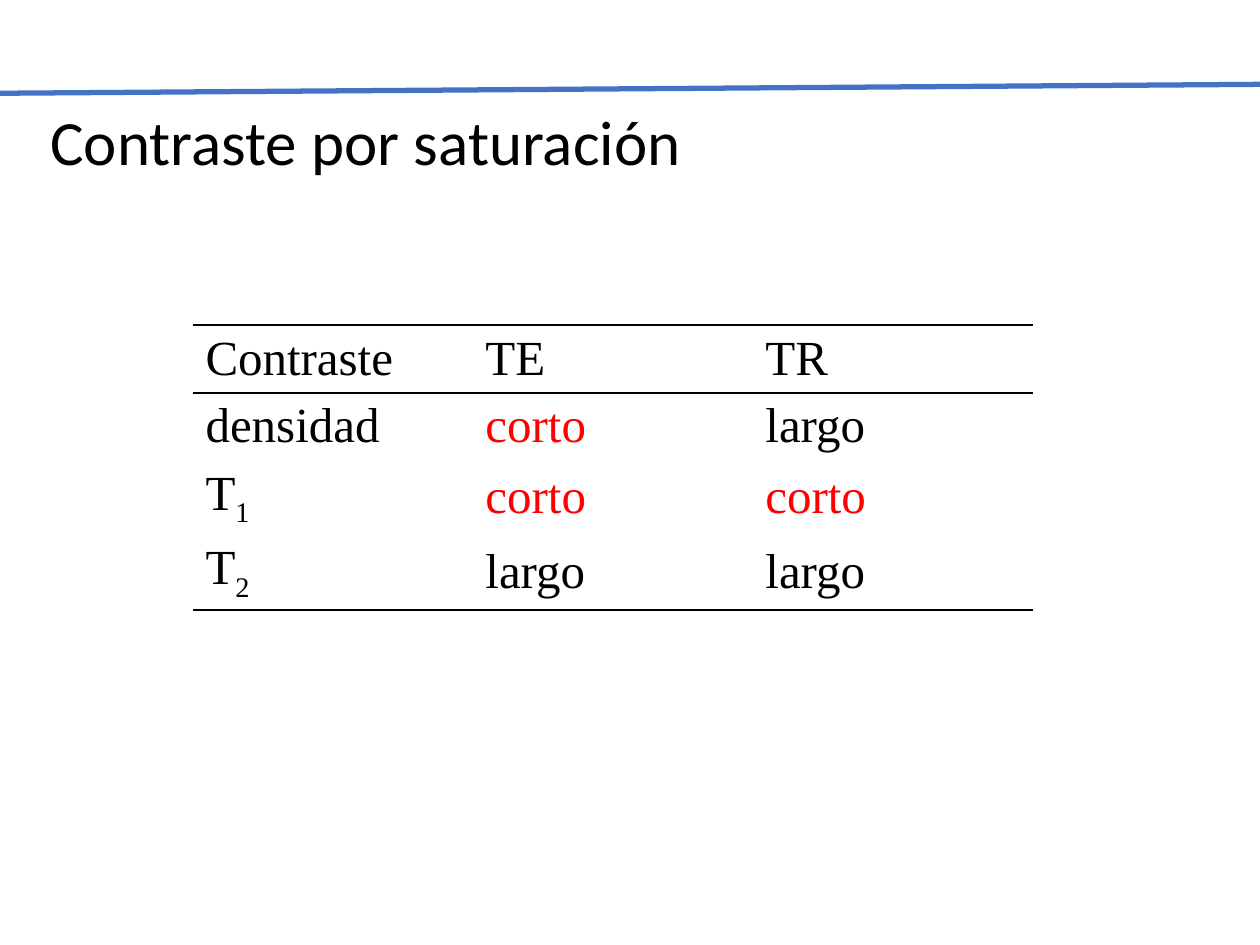
import pptx
import pptx.dml.color
import pptx.enum.shapes
import pptx.enum.text
import pptx.oxml
import pptx.oxml.ns
import pptx.util
from lxml import etree

Cm = pptx.util.Cm
Pt = pptx.util.Pt
qn = pptx.oxml.ns.qn
MIDDLE = pptx.enum.text.MSO_ANCHOR.MIDDLE

COLORS = {"rule": "4472C4", "text": "000000", "short": "FF0000"}
ROWS = [
    ["Contraste", "TE", "TR"],
    ["densidad", "corto", "largo"],
    ["T1", "corto", "corto"],
    ["T2", "largo", "largo"],
]
ROW_HEIGHTS = [1.37, 1.35, 1.51, 1.51]


def rgb(name):
    return pptx.dml.color.RGBColor.from_string(COLORS[name])


def format_run(r, font, size, color):
    r.font.name = font
    r.font.size = Pt(size)
    r.font.color.rgb = rgb(color)


def add_rule(s, left, top, width, rise):
    line = s.shapes.add_connector(
        pptx.enum.shapes.MSO_CONNECTOR.STRAIGHT,
        Cm(left), Cm(top), Cm(left + width), Cm(top - rise))
    line.line.color.rgb = rgb("rule")
    line.line.width = Pt(3)
    etree.SubElement(line._element.spPr, qn("a:effectLst"))


def place_title(s, text, left, top, width, height):
    sp = s.shapes.title
    sp.left, sp.top, sp.width, sp.height = Cm(left), Cm(top), Cm(width), Cm(height)
    tf = sp.text_frame
    tf.text = text
    tf.word_wrap = True
    tf.auto_size = pptx.enum.text.MSO_AUTO_SIZE.NONE
    tf.vertical_anchor = MIDDLE
    p = tf.paragraphs[0]
    p.alignment = pptx.enum.text.PP_ALIGN.LEFT
    p.line_spacing = 0.9
    format_run(p.runs[0], "Calibri", 36, "text")


def set_borders(cell, ruled_sides):
    tcPr = cell._tc.get_or_add_tcPr()
    for i, side in enumerate("LRTB"):
        ln = etree.Element(qn(f"a:ln{side}"), w=str(Pt(1.5)))
        if side in ruled_sides:
            fill = etree.SubElement(ln, qn("a:solidFill"))
            etree.SubElement(fill, qn("a:srgbClr"), val=COLORS["text"])
        else:
            etree.SubElement(ln, qn("a:noFill"))
        tcPr.insert(i, ln)


def fill_cell(cell, text):
    cell.fill.background()
    cell.vertical_anchor = MIDDLE
    p = cell.text_frame.paragraphs[0]
    parts = [text[:-1], text[-1]] if text[-1].isdigit() else [text]
    for part in parts:
        r = p.add_run()
        r.text = part
        format_run(r, "Times New Roman", 28, "short" if text == "corto" else "text")
        if part.isdigit():
            r.font._element.set("baseline", "-25000")


def add_contrast_table(s, left, top, width):
    table = s.shapes.add_table(
        len(ROWS), len(ROWS[0]), Cm(left), Cm(top), Cm(width), Cm(sum(ROW_HEIGHTS))).table
    table.first_row = False
    table.horz_banding = False
    ruled_sides = {0: "TB", 1: "T", len(ROWS) - 1: "B"}
    for i, texts in enumerate(ROWS):
        table.rows[i].height = Cm(ROW_HEIGHTS[i])
        for j, text in enumerate(texts):
            cell = table.cell(i, j)
            fill_cell(cell, text)
            set_borders(cell, ruled_sides.get(i, ""))


def main():
    prs = pptx.Presentation()
    prs.slide_width, prs.slide_height = Cm(25.4), Cm(19.05)
    s = prs.slides.add_slide(prs.slide_layouts[5])
    add_rule(s, 0, 1.88, 25.4, 0.18)
    add_contrast_table(s, 3.89, 6.55, 16.93)
    place_title(s, "Contraste por saturación", 0.76, 1.98, 24.18, 1.9)
    prs.save("out.pptx")


if __name__ == "__main__":
    main()
